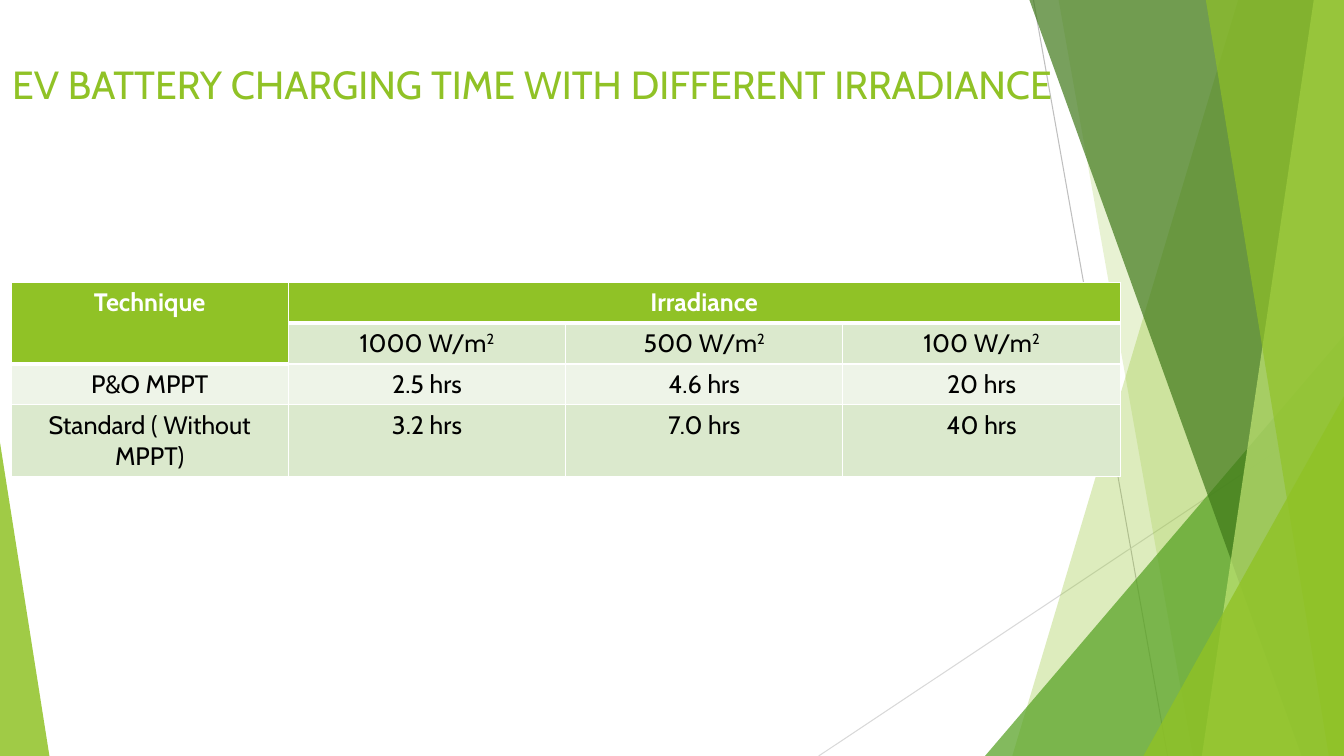
from dataclasses import dataclass

from lxml.etree import SubElement
from pptx import Presentation
from pptx.dml.color import RGBColor
from pptx.enum.shapes import MSO_CONNECTOR, MSO_SHAPE
from pptx.enum.text import MSO_ANCHOR, PP_ALIGN
from pptx.oxml import parse_xml
from pptx.oxml.ns import nsdecls, qn
from pptx.util import Inches, Pt

W, H = 13.33, 7.5
FONT = "Cabin"
LIME, WHITE, BLACK = "90C226", "FFFFFF", "000000"
BAND_DARK, BAND_LIGHT = "DBE9CD", "EEF4E8"


@dataclass
class Ray:
    """Thin straight line behind the panels."""
    start: tuple[float, float]
    end: tuple[float, float]
    color: str


@dataclass
class Panel:
    """Band reaching the right edge, given by its slanted left side."""
    top_x: float
    bottom_x: float
    color: str
    alpha: int


@dataclass
class Wedge:
    """Triangle standing on the bottom edge; apex 0 is left, 1 is right."""
    left: float
    top: float
    width: float
    apex: int
    color: str
    alpha: int


@dataclass
class Cell:
    row: int
    col: int
    text: str
    fill: str
    color: str = BLACK
    bold: bool = False


DECOR = [
    Ray((10.25, 0), (11.58, H), "BFBFBF"),
    Ray((W, 4.03), (8.12, H), "D9D9D9"),
    Panel(12.28, 10.04, LIME, 30),
    Panel(10.5, 11.83, LIME, 20),
    Wedge(9.77, 3.33, 3.56, 1, "54A021", 72),
    Panel(10.21, 12.91, "3F7819", 70),
    Panel(13.03, 11.92, "C0E474", 70),
    Panel(11.96, 13.18, LIME, 65),
    Wedge(11.34, 3.93, 1.99, 1, LIME, 80),
    Wedge(0, 4.39, 0.49, 0, LIME, 85),
]

# A caret marks the start of a superscript
BODY = [
    (BAND_DARK, ["", "1000 W/m^2", "500 W/m^2", "100 W/m^2"]),
    (BAND_LIGHT, ["P&O MPPT", "2.5 hrs", "4.6 hrs", "20 hrs"]),
    (BAND_DARK, ["Standard ( Without MPPT)", "3.2 hrs", "7.0 hrs", "40 hrs"]),
]
COL_W = 2.75
ROW_H = [0.4, 0.4, 0.4, 0.71]


def rgb(color: str) -> RGBColor:
    return RGBColor.from_string(color)


def format_font(font, color: str, **values) -> None:
    for name, value in {"name": FONT, **values}.items():
        setattr(font, name, value)
    font.color.rgb = rgb(color)


def paint(sp, color: str, alpha: int) -> None:
    sp.shadow.inherit = False
    sp.line.fill.background()
    sp.fill.solid()
    sp.fill.fore_color.rgb = rgb(color)
    clr = sp.fill._xPr.find(qn("a:solidFill"))[0]
    SubElement(clr, qn("a:alpha")).set("val", str(alpha * 1000))


def draw(s, item: Ray | Panel | Wedge) -> None:
    if isinstance(item, Ray):
        ends = [Inches(v) for v in (*item.start, *item.end)]
        line = s.shapes.add_connector(MSO_CONNECTOR.STRAIGHT, *ends)
        line.line.color.rgb = rgb(item.color)
        line.line.width = Pt(0.75)
        SubElement(line._element.spPr, qn("a:effectLst"))
        return
    if isinstance(item, Panel):
        pts = [(item.top_x, 0), (W, 0), (W, H), (item.bottom_x, H)]
        pts = [(Inches(x), Inches(y)) for x, y in pts]
        fb = s.shapes.build_freeform(*pts[0])
        fb.add_line_segments(pts[1:], close=True)
        sp = fb.convert_to_shape()
    else:
        box = (item.left, item.top, item.width, H - item.top)
        sp = s.shapes.add_shape(MSO_SHAPE.ISOSCELES_TRIANGLE,
                                *[Inches(v) for v in box])
        sp.adjustments[0] = item.apex
    paint(sp, item.color, item.alpha)


def set_borders(cell, bottom: float) -> None:
    tc_pr = cell._tc.get_or_add_tcPr()
    sides = {"L": 1, "R": 1, "T": 1, "B": bottom}
    for i, (side, width) in enumerate(sides.items()):
        tc_pr.insert(i, parse_xml(
            f'<a:ln{side} {nsdecls("a")} w="{Pt(width)}"><a:solidFill>'
            f'<a:srgbClr val="{WHITE}"/></a:solidFill></a:ln{side}>'))


def fill_cell(table, item: Cell) -> None:
    cell = table.cell(item.row, item.col)
    cell.fill.solid()
    cell.fill.fore_color.rgb = rgb(item.fill)
    set_borders(cell, 3 if item.row == 0 else 1)
    p = cell.text_frame.paragraphs[0]
    p.alignment = PP_ALIGN.CENTER
    format_font(p.font, item.color, size=Pt(18), bold=item.bold)
    if not item.text:
        return
    for i, part in enumerate(item.text.split("^")):
        r = p.add_run()
        r.text = part
        format_font(r.font, item.color, size=Pt(18), bold=item.bold)
        if i:
            r.font._element.set("baseline", "30000")


def add_title(s, text: str) -> None:
    title = s.shapes.title
    box = {"left": 0, "top": 0.55, "width": 10.55, "height": 1.44}
    for name, value in box.items():
        setattr(title, name, Inches(value))
    tf = title.text_frame
    tf.word_wrap = True
    tf.vertical_anchor = MSO_ANCHOR.TOP
    p = tf.paragraphs[0]
    p.alignment = PP_ALIGN.CENTER
    r = p.add_run()
    r.text = text
    format_font(r.font, LIME, size=Pt(28))
    # Bring the title in front of the panels
    s.shapes._spTree.append(title._element)


def add_times(s) -> None:
    n = len(ROW_H)
    frame = s.shapes.add_table(n, 4, Inches(0.11), Inches(2.8),
                               Inches(4 * COL_W), Inches(sum(ROW_H)))
    table = frame.table
    for col in table.columns:
        col.width = Inches(COL_W)
    for row, height in zip(table.rows, ROW_H):
        row.height = Inches(height)

    # Header, then body
    for c, text in enumerate(["Technique", "Irradiance", "", ""]):
        fill_cell(table, Cell(0, c, text, LIME, WHITE, True))
    for r, (fill, texts) in enumerate(BODY, 1):
        for c, text in enumerate(texts):
            fill_cell(table, Cell(r, c, text, fill))
    table.cell(0, 0).merge(table.cell(1, 0))
    table.cell(0, 1).merge(table.cell(0, 3))


def main() -> None:
    prs = Presentation()
    prs.slide_width, prs.slide_height = Inches(W), Inches(H)
    s = prs.slides.add_slide(prs.slide_layouts[5])
    for item in DECOR:
        draw(s, item)
    add_title(s, "EV BATTERY CHARGING TIME WITH DIFFERENT IRRADIANCE")
    add_times(s)
    prs.save("out.pptx")


if __name__ == "__main__":
    main()
